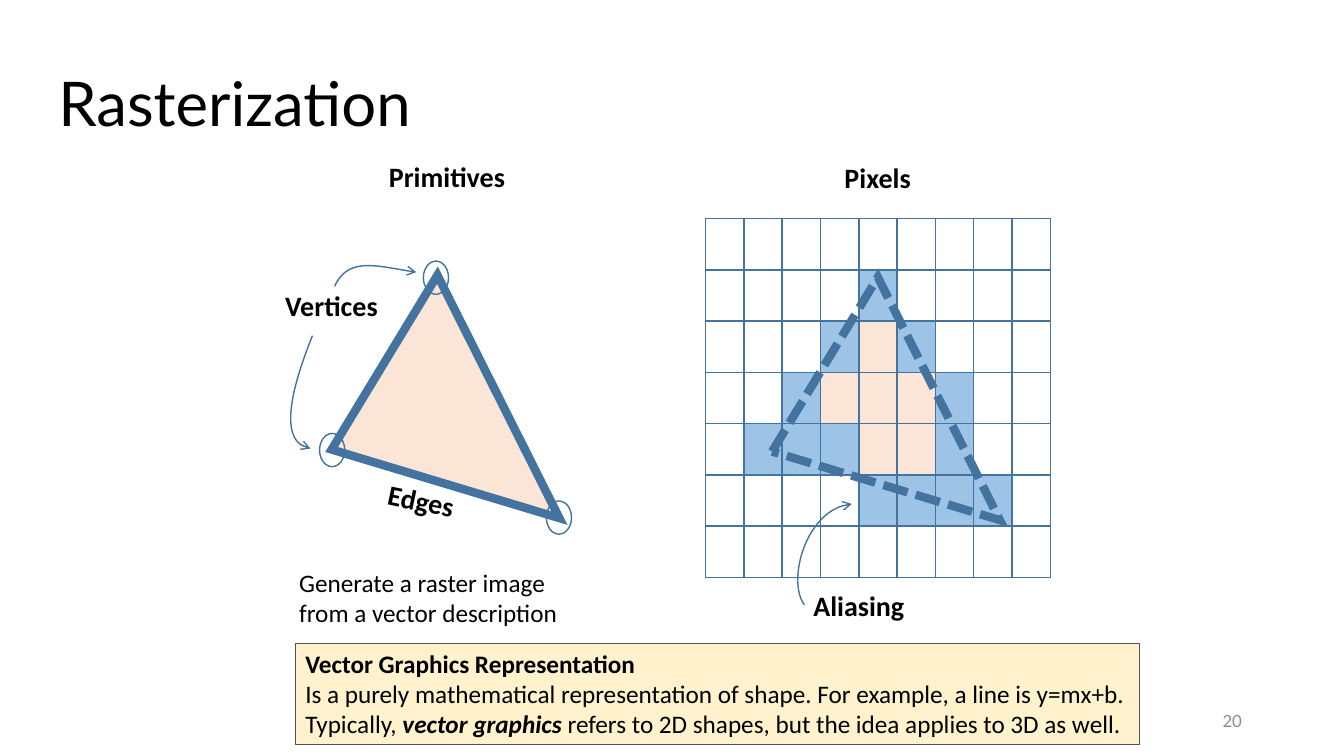
from dataclasses import dataclass
from typing import Optional

from lxml import etree
from pptx import Presentation, util as u
from pptx.dml.color import RGBColor
from pptx.enum import dml, shapes, text
from pptx.oxml.ns import qn

BLUE, BLACK, PEACH = "43739E", "000000", "FBE5D6"
CELL_FILLS = {".": "FFFFFF", "B": "9DC3E6", "O": PEACH}
PIXEL_ROWS = [
    ".........",
    "....B....",
    "...BOB...",
    "..BOOOB..",
    ".BBBOOB..",
    "....BBBB.",
    ".........",
]
GRID_LEFT, GRID_TOP, CELL_W, CELL_H = 504, 156.24, 27.36, 36.6
TRIANGLE = [(236.88, 321.12), (312.48, 196.56), (399.6, 370.08)]
OUTLINE_SHIFT = (314.64, 1.44)
VERTEX_RINGS = [(302.4, 186.48), (228.24, 309.6), (390.24, 357.84)]
ARROWS = [
    [(239.04, 204.48), (249.12, 182.16), (271.44, 190.8), (297.36, 194.4)],
    [(223.2, 239.76), (210.24, 272.16), (196.56, 316.08), (221.76, 320.4)],
    [(574.56, 432), (561.6, 414.72), (576, 362.88), (608.4, 360)],
]
Points = list[tuple[float, float]]


@dataclass
class Run:
    words: str
    bold: bool = False
    italic: bool = False


@dataclass
class Box:
    left: float
    top: float
    width: float
    height: float
    lines: list[list[Run]]
    size: float
    font: str = "Calibri"
    color: str = BLACK
    wrap: bool = True
    middle: bool = False
    right: bool = False
    spacing: Optional[float] = None
    rotation: float = 0
    fill: Optional[str] = None
    line: Optional[str] = None


def label(left: float, top: float, width: float, words: str, rotation: float = 0) -> Box:
    return Box(left, top, width, 31.68, [[Run(words, bold=True)]], 20,
               wrap=False, rotation=rotation)


BOXES = [
    Box(34.56, 40.32, 702, 72, [[Run("Rasterization")]], 44, "Lato", middle=True, spacing=0.9),
    Box(678.24, 500.4, 216, 28.8, [[Run("20")]], 12, "Lato", "8C8C8C", middle=True, right=True),
    label(196.56, 202.32, 81.36, "Vertices"),
    label(596.16, 110.88, 61.92, "Pixels"),
    label(270, 342, 62.64, "Edges", rotation=12),
    label(573.84, 416.88, 79.92, "Aliasing"),
    label(270.72, 110.16, 98.64, "Primitives"),
    Box(206.64, 401.76, 200.88, 51.12,
        [[Run("Generate a raster image from a vector description")]], 18),
    Box(210.96, 459.36, 603.36, 72.72, [
        [Run("Vector Graphics Representation", bold=True)],
        [Run("Is a purely mathematical representation of shape. For example, a line is y=mx+b.")],
        [Run("Typically, "), Run("vector graphics ", bold=True, italic=True),
         Run("refers to 2D shapes, but the idea applies to 3D as well.")],
    ], 18, fill="FFF2CC", line="525252"),
]


def rgb(color: str) -> RGBColor:
    return RGBColor.from_string(color)


def style(sp, fill: Optional[str], line: str, width: float) -> None:
    sp.shadow.inherit = False
    if fill:
        sp.fill.solid()
        sp.fill.fore_color.rgb = rgb(fill)
    else:
        sp.fill.background()
    sp.line.color.rgb = rgb(line)
    sp.line.width = u.Pt(width)


def add_preset(s, kind, left: float, top: float, width: float, height: float,
               fill: Optional[str], line: str, line_width: float = 1):
    sp = s.shapes.add_shape(kind, u.Pt(left), u.Pt(top), u.Pt(width), u.Pt(height))
    style(sp, fill, line, line_width)
    return sp


def add_outline(s, points: Points, closed: bool, fill: Optional[str], width: float):
    emu = [(u.Pt(x), u.Pt(y)) for x, y in points]
    builder = s.shapes.build_freeform(*emu[0])
    builder.add_line_segments(emu[1:], close=closed)
    sp = builder.convert_to_shape()
    style(sp, fill, BLUE, width)
    return sp


def add_triangle(s, points: Points, fill: Optional[str], dashed: bool) -> None:
    sp = add_outline(s, points, True, fill, 6)
    if dashed:
        sp.line.dash_style = dml.MSO_LINE.SQUARE_DOT
    etree.SubElement(sp.line._get_or_add_ln(), qn("a:miter"), lim="800000")


def add_curved_arrow(s, controls: Points, steps: int = 32) -> None:
    """Draw a cubic Bezier curve with an open arrowhead at its end."""
    points = []
    for i in range(steps + 1):
        t = i / steps
        weights = ((1 - t) ** 3, 3 * t * (1 - t) ** 2, 3 * t * t * (1 - t), t ** 3)
        points.append((sum(w * x for w, (x, _) in zip(weights, controls)),
                       sum(w * y for w, (_, y) in zip(weights, controls))))
    sp = add_outline(s, points, False, None, 1)
    etree.SubElement(sp.line._get_or_add_ln(), qn("a:tailEnd"), type="arrow")


def add_box(s, box: Box) -> None:
    place = (box.left, box.top, box.width, box.height)
    if box.fill:
        sp = add_preset(s, shapes.MSO_SHAPE.RECTANGLE, *place, box.fill, box.line, 0.75)
    else:
        sp = s.shapes.add_textbox(*(u.Pt(v) for v in place))
    sp.rotation = box.rotation
    tf = sp.text_frame
    tf.word_wrap = box.wrap
    tf.vertical_anchor = text.MSO_ANCHOR.MIDDLE if box.middle else text.MSO_ANCHOR.TOP
    p = tf.paragraphs[0]
    p.alignment = text.PP_ALIGN.RIGHT if box.right else text.PP_ALIGN.LEFT
    if box.spacing:
        p.line_spacing = box.spacing
    for i, line in enumerate(box.lines):
        if i:
            p.add_line_break()
        for run in line:
            r = p.add_run()
            r.text = run.words
            r.font.name = box.font
            r.font.size = u.Pt(box.size)
            r.font.bold = run.bold
            r.font.italic = run.italic
            r.font.color.rgb = rgb(box.color)


def main() -> None:
    prs = Presentation()
    prs.slide_width, prs.slide_height = u.Pt(960), u.Pt(540)
    s = prs.slides.add_slide(prs.slide_layouts[6])

    add_triangle(s, TRIANGLE, PEACH, dashed=False)
    for row, cells in enumerate(PIXEL_ROWS):
        for col, cell in enumerate(cells):
            add_preset(s, shapes.MSO_SHAPE.RECTANGLE, GRID_LEFT + col * CELL_W,
                       GRID_TOP + row * CELL_H, CELL_W, CELL_H, CELL_FILLS[cell], BLUE)
    dx, dy = OUTLINE_SHIFT
    add_triangle(s, [(x + dx, y + dy) for x, y in TRIANGLE], None, dashed=True)

    for left, top in VERTEX_RINGS:
        add_preset(s, shapes.MSO_SHAPE.OVAL, left, top, 18, 23.76, None, BLUE)
    for controls in ARROWS:
        add_curved_arrow(s, controls)
    for box in BOXES:
        add_box(s, box)

    prs.save("out.pptx")


if __name__ == "__main__":
    main()
